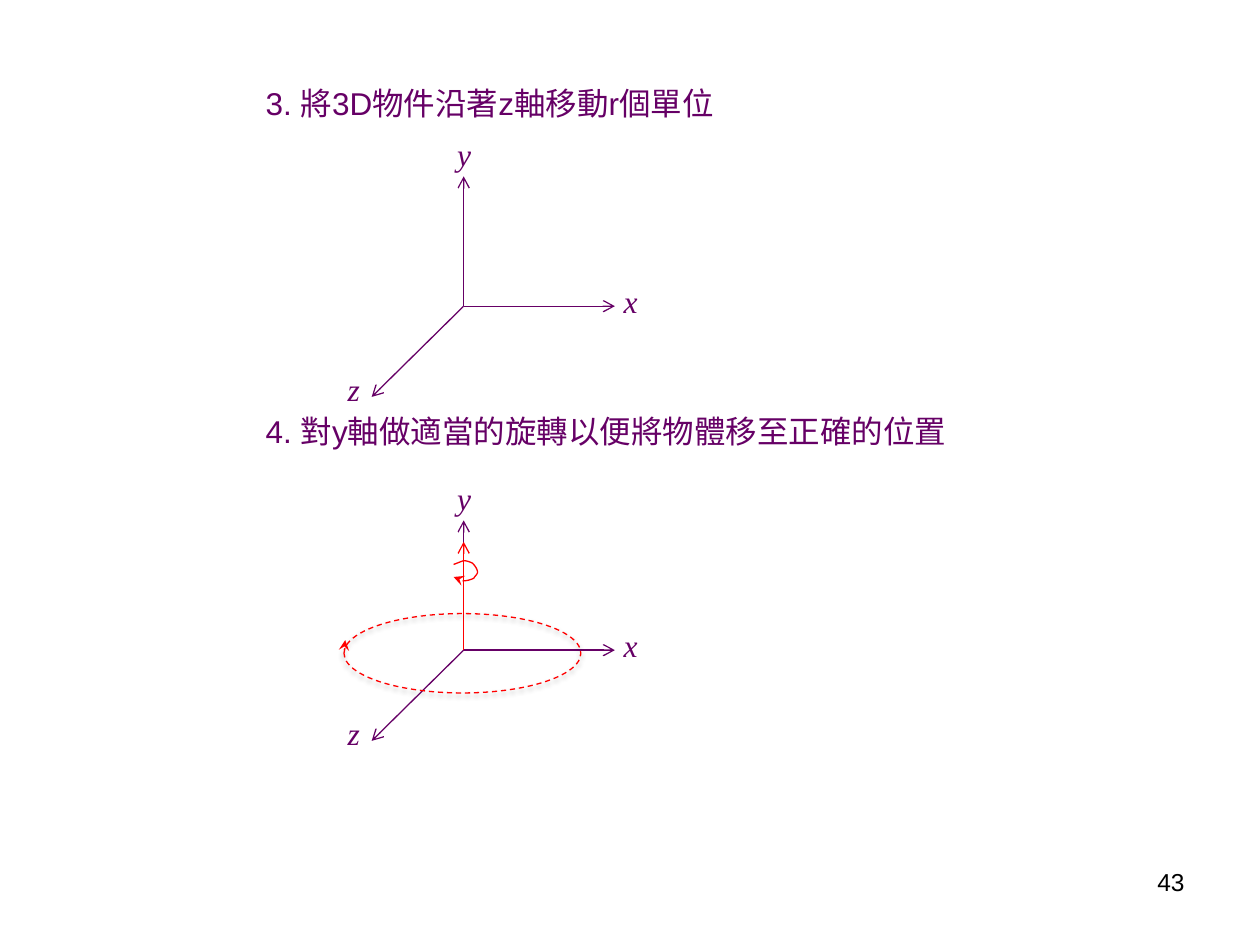
from lxml.etree import SubElement
from pptx import Presentation
from pptx.dml.color import RGBColor
from pptx.enum.dml import MSO_LINE
from pptx.enum.shapes import MSO_CONNECTOR, MSO_SHAPE
from pptx.enum.text import PP_ALIGN
from pptx.oxml import parse_xml
from pptx.oxml.ns import nsdecls, qn
from pptx.util import Inches, Pt

PURPLE = RGBColor(0x66, 0x00, 0x66)
RED = RGBColor(0xFF, 0x00, 0x00)
BLACK = RGBColor(0x00, 0x00, 0x00)

# Each step: heading, heading top, origin of its axes
STEPS = [
    ("3. 將3D物件沿著z軸移動r個單位", 0.62, (3.68, 2.43)),
    ("4. 對y軸做適當的旋轉以便將物體移至正確的位置", 3.22, (3.68, 5.16)),
]
# Each axis: name, tip and label corner, both relative to the origin
AXES = [
    ("x", (1.20, 0), (1.17, -0.24)),
    ("y", (0, -1.03), (-0.15, -1.41)),
    ("z", (-0.73, 0.72), (-1.02, 0.46)),
]
# Cubic curves of the turn around the y axis: start, two controls, end
TURN = [
    ((3.60, 4.48), (3.63, 4.47), (3.65, 4.46), (3.68, 4.45)),
    ((3.68, 4.45), (3.70, 4.45), (3.73, 4.46), (3.75, 4.47)),
    ((3.75, 4.47), (3.77, 4.49), (3.79, 4.52), (3.79, 4.54)),
    ((3.79, 4.54), (3.79, 4.56), (3.77, 4.57), (3.76, 4.59)),
    ((3.76, 4.59), (3.74, 4.60), (3.71, 4.61), (3.68, 4.61)),
    ((3.68, 4.61), (3.66, 4.61), (3.63, 4.59), (3.60, 4.58)),
]
CURVE_STEPS = 6
ORBIT = (2.73, 4.87, 1.88, 0.63)
SHADOW = (
    f'<a:effectLst {nsdecls("a")}><a:outerShdw blurRad="{Pt(3.1)}" dist="{Pt(1.6)}" '
    'dir="5400000" rotWithShape="0"><a:srgbClr val="000000"><a:alpha val="38000"/>'
    '</a:srgbClr></a:outerShdw></a:effectLst>'
)

prs = Presentation()
prs.slide_width, prs.slide_height = Inches(10), Inches(7.5)
slide = prs.slides.add_slide(prs.slide_layouts[6])
shapes = slide.shapes


def add_text(text, box, size, color, font="Arial", italic=False, align=PP_ALIGN.LEFT):
    frame = shapes.add_textbox(*map(Inches, box)).text_frame
    frame.word_wrap = True
    frame.text = text
    paragraph = frame.paragraphs[0]
    paragraph.alignment = align
    style = paragraph.runs[0].font
    style.name, style.size, style.italic = font, Pt(size), italic
    style.color.rgb = color


def style_line(shape, color, head=None):
    shape.line.color.rgb = color
    shape.line.width = Pt(0.75)
    if head:
        SubElement(shape.line._get_or_add_ln(), qn("a:tailEnd"), type=head)


def add_arrow(start, end, color, head="arrow"):
    arrow = shapes.add_connector(MSO_CONNECTOR.STRAIGHT, *map(Inches, (*start, *end)))
    style_line(arrow, color, head)
    SubElement(arrow._element.spPr, qn("a:effectLst"))


def bezier_point(curve, t):
    weights = ((1 - t) ** 3, 3 * t * (1 - t) ** 2, 3 * t * t * (1 - t), t ** 3)
    return tuple(Inches(sum(w * p[i] for w, p in zip(weights, curve))) for i in (0, 1))


for heading, top, (ox, oy) in STEPS:
    add_text(heading, (2.01, top, 7.5, 0.4), 18, PURPLE)
    for name, (tip_x, tip_y), (label_x, label_y) in AXES:
        add_arrow((ox, oy), (ox + tip_x, oy + tip_y), PURPLE)
        add_text(name, (ox + label_x, oy + label_y, 0.38, 0.4), 18, PURPLE,
                 "Times New Roman", italic=True)

# Rotation around the y axis in the last step
add_arrow((ox, oy), (ox, 4.3), RED)

builder = shapes.build_freeform(*bezier_point(TURN[0], 0))
builder.add_line_segments(
    [bezier_point(curve, step / CURVE_STEPS)
     for curve in TURN for step in range(1, CURVE_STEPS + 1)],
    close=False,
)
turn = builder.convert_to_shape()
turn.fill.background()
style_line(turn, RED, "stealth")
turn.shadow.inherit = False

orbit = shapes.add_shape(MSO_SHAPE.OVAL, *map(Inches, ORBIT))
orbit.fill.background()
style_line(orbit, RED)
orbit.line.dash_style = MSO_LINE.DASH
orbit._element.spPr.append(parse_xml(SHADOW))
add_arrow((2.73, 5.16), (2.74, 5.08), RED, "stealth")

add_text("43", (7.17, 6.83, 2.33, 0.52), 14, BLACK, align=PP_ALIGN.RIGHT)

prs.save("out.pptx")
